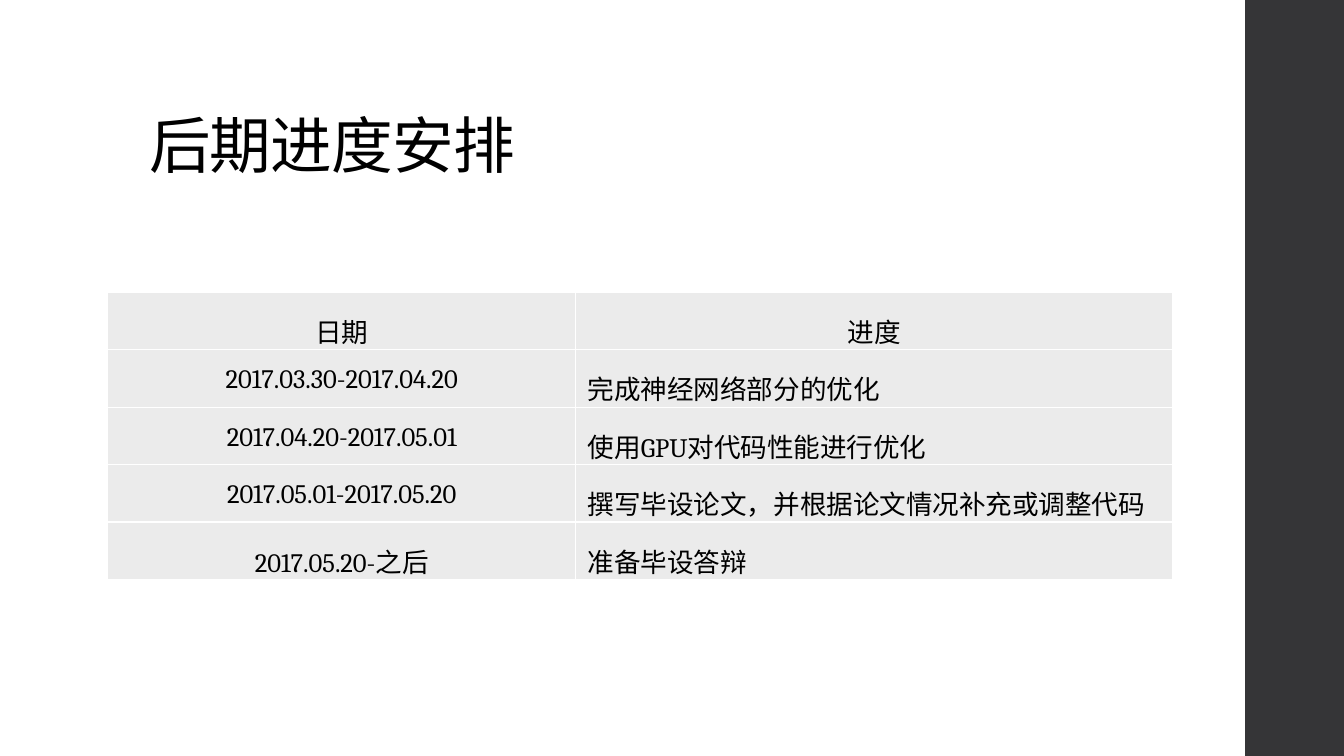
from lxml.etree import SubElement
from pptx import Presentation
from pptx.dml.color import RGBColor
from pptx.enum.shapes import MSO_SHAPE
from pptx.enum.text import MSO_ANCHOR, PP_ALIGN
from pptx.oxml.ns import qn
from pptx.util import Inches, Pt

FONT = "Cambria"
BLACK, WHITE, CHARCOAL, PALE_GRAY = "000000", "FFFFFF", "353537", "EBEBEB"
COLUMN_WIDTHS = (4.64, 5.92)
ROW_HEIGHT = 0.57
SCHEDULE = [
    ("日期", "进度"),
    ("2017.03.30-2017.04.20", "完成神经网络部分的优化"),
    ("2017.04.20-2017.05.01", "使用GPU对代码性能进行优化"),
    ("2017.05.01-2017.05.20", "撰写毕设论文，并根据论文情况补充或调整代码"),
    ("2017.05.20-之后", "准备毕设答辩"),
]


def paint(fill, color):
    fill.solid()
    fill.fore_color.rgb = RGBColor.from_string(color)


def write_text(frame, text, size, color=BLACK, align=PP_ALIGN.LEFT,
               line_spacing=1.0, tracking=None):
    """Fill the first paragraph; tracking is in points."""
    paragraph = frame.paragraphs[0]
    paragraph.alignment = align
    paragraph.line_spacing = line_spacing
    run = paragraph.add_run()
    run.text = text
    run.font.name = FONT
    run.font.size = Pt(size)
    paint(run.font.fill, color)
    if tracking is not None:
        run.font._element.set("spc", str(round(tracking * 100)))


def add_side_bar(slide):
    bar = slide.shapes.add_shape(MSO_SHAPE.RECTANGLE, Inches(12.35), 0,
                                 Inches(1), Inches(7.5))
    bar.shadow.inherit = False
    paint(bar.fill, CHARCOAL)
    bar.line.fill.background()


def add_title(slide, text):
    title = slide.shapes.add_textbox(Inches(1.38), Inches(0.4),
                                     Inches(10.6), Inches(1.45))
    frame = title.text_frame
    frame.word_wrap = True
    frame.vertical_anchor = MSO_ANCHOR.BOTTOM
    write_text(frame, text, 44, line_spacing=0.9, tracking=-0.5)


def set_borders(cell, color, width):
    properties = cell._tc.get_or_add_tcPr()
    for position, side in enumerate(("a:lnL", "a:lnR", "a:lnT", "a:lnB")):
        border = SubElement(properties, qn(side), w=str(Pt(width)))
        properties.insert(position, border)
        fill = SubElement(border, qn("a:solidFill"))
        SubElement(fill, qn("a:srgbClr"), val=color)


def fill_cell(cell, text, align):
    cell.margin_left = cell.margin_right = Inches(0.12)
    cell.margin_top = cell.margin_bottom = 0
    paint(cell.fill, PALE_GRAY)
    set_borders(cell, WHITE, 1)
    write_text(cell.text_frame, text, 19, align=align, line_spacing=1.5)


def add_schedule(slide, rows):
    table = slide.shapes.add_table(
        len(rows), len(COLUMN_WIDTHS), Inches(1.07), Inches(2.9),
        Inches(sum(COLUMN_WIDTHS)), Inches(ROW_HEIGHT * len(rows))).table
    for column, width in zip(table.columns, COLUMN_WIDTHS):
        column.width = Inches(width)
    table.first_row = table.horz_banding = False
    for r, row in enumerate(rows):
        for c, text in enumerate(row):
            centred = r == 0 or c == 0
            fill_cell(table.cell(r, c), text,
                      PP_ALIGN.CENTER if centred else PP_ALIGN.JUSTIFY)


def main():
    presentation = Presentation()
    presentation.slide_width = Inches(13.33)
    presentation.slide_height = Inches(7.5)
    slide = presentation.slides.add_slide(presentation.slide_layouts[6])
    paint(slide.background.fill, WHITE)
    add_side_bar(slide)
    add_title(slide, "后期进度安排")
    add_schedule(slide, SCHEDULE)
    presentation.save("out.pptx")


if __name__ == "__main__":
    main()
